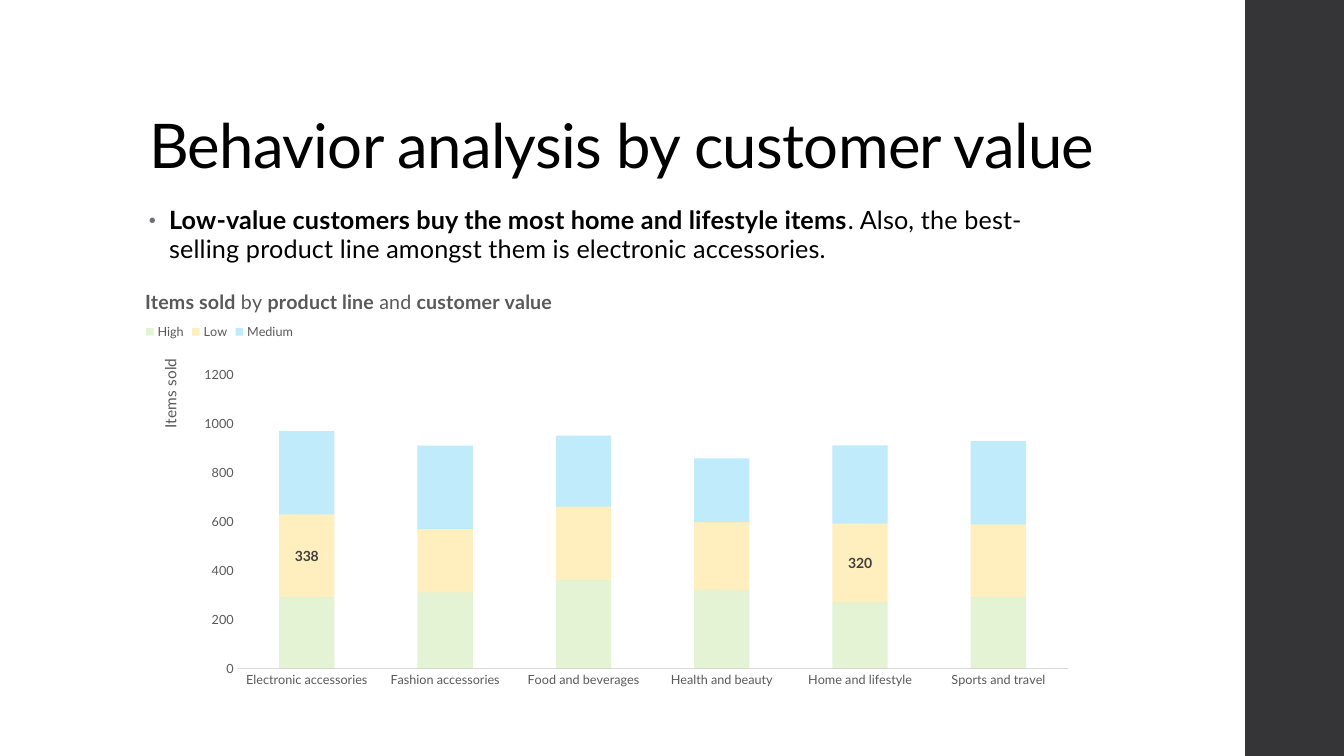
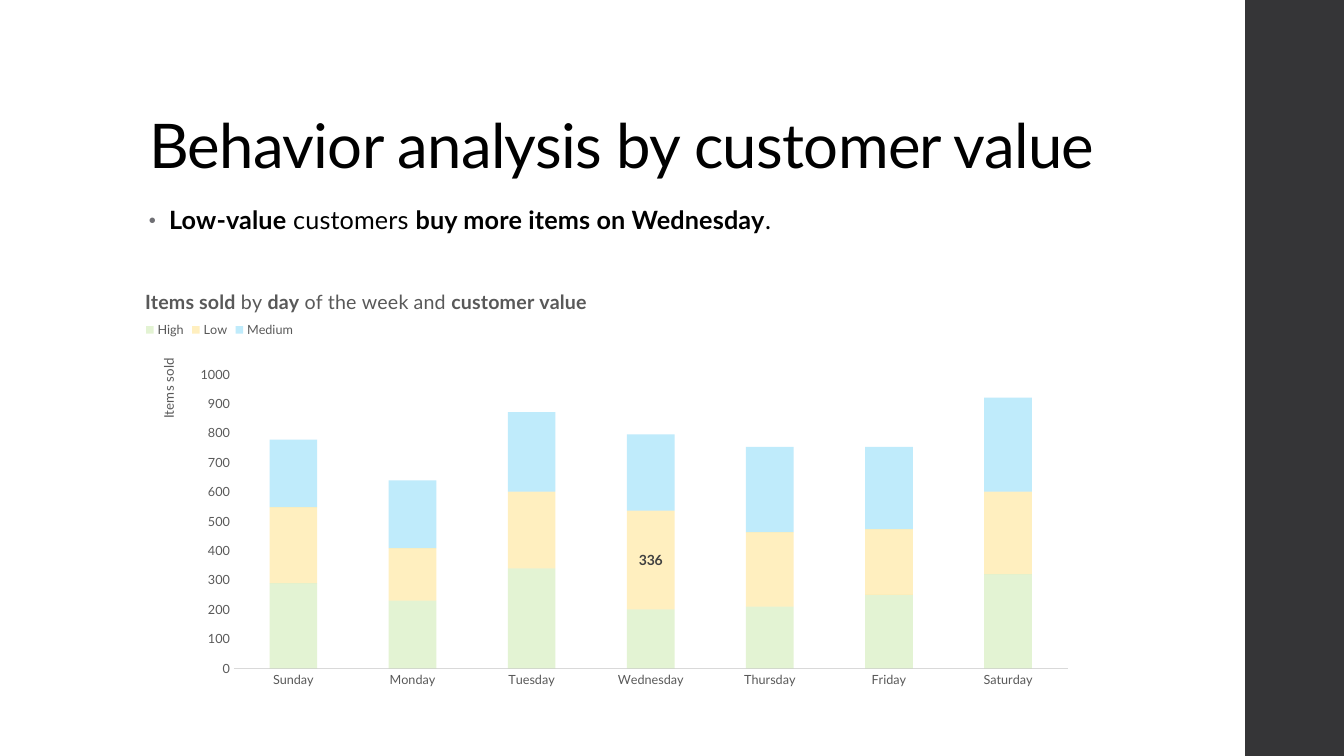
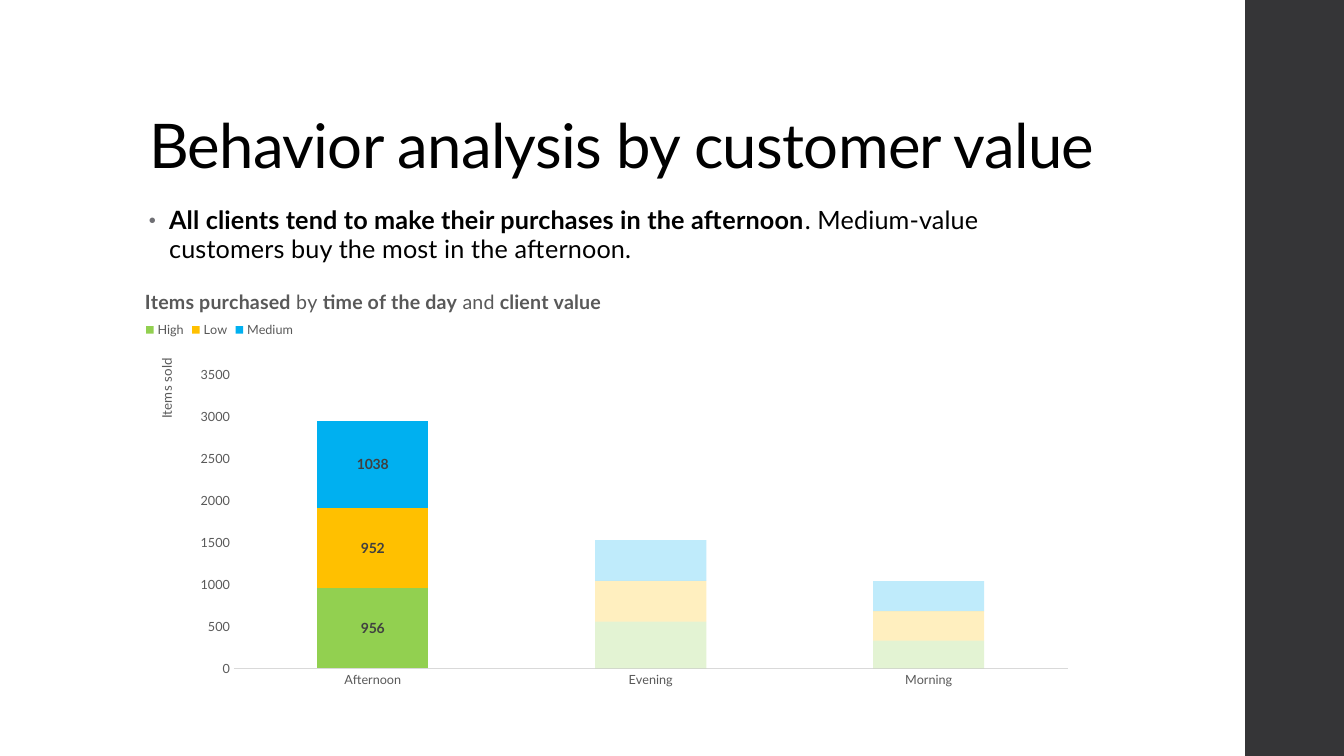
from lxml import etree
from pptx import Presentation, util as u
from pptx.chart.data import CategoryChartData
from pptx.dml.color import RGBColor
from pptx.enum import chart as ch, shapes, text
from pptx.oxml.ns import qn

INK, GREY, LABEL, RULE = "000000", "595959", "404040", "D9D9D9"
BAND, BULLET = "353537", "6F6F74"
LEVELS = {"High": "92D050", "Low": "FFC000", "Medium": "00B0F0"}
HEADING = "Behavior analysis by customer value"


def rgb(value):
    return RGBColor.from_string(value)


def child(parent, tag, **attributes):
    return etree.SubElement(parent, qn(tag), attributes)


def place(parent, **shares):
    for old in parent.findall(qn("c:layout")):
        parent.remove(old)
    layout = etree.Element(qn("c:layout"))
    manual = child(layout, "c:manualLayout")
    if "w" in shares:
        child(manual, "c:layoutTarget", val="inner")
    for mode in ("xMode", "yMode"):
        child(manual, f"c:{mode}", val="edge")
    for key, share in shares.items():
        child(manual, f"c:{key}", val=str(share))
    leads = parent[0].tag in (qn("c:tx"), qn("c:legendPos"))
    parent.insert(1 if leads else 0, layout)


class Deck:
    face = "Lato"
    left = 0.1035

    def __init__(self):
        self.prs = Presentation()
        self.prs.slide_width, self.prs.slide_height = u.Inches(13.33), u.Inches(7.5)
        self.slide = None

    def box(self, x, y, w, h):
        width, height = self.prs.slide_width, self.prs.slide_height
        return int(x * width), int(y * height), int(w * width), int(h * height)

    def font(self, font, size, color, bold=None):
        font.name, font.size, font.bold = self.face, u.Pt(size), bold
        font.color.rgb = rgb(color)

    def rich(self, paragraph, marked):
        for index, part in enumerate(marked.split("*")):
            if part:
                run = paragraph.add_run()
                run.text, run.font.bold = part, index % 2 == 1

    def fill(self, part, color, faded):
        part.format.fill.solid()
        part.format.fill.fore_color.rgb = rgb(color)
        if faded:
            child(part.format.element.xpath("./c:spPr//a:srgbClr")[0], "a:alpha", val="25000")

    def start(self, heading):
        self.slide = self.prs.slides.add_slide(self.prs.slide_layouts[5])
        self.band()
        title = self.slide.shapes.title
        title.left, title.top, title.width, title.height = self.box(self.left, 0.0533, 0.795, 0.1933)
        frame = title.text_frame
        frame.text, frame.word_wrap = heading, True
        frame.auto_size = text.MSO_AUTO_SIZE.NONE
        frame.vertical_anchor = text.MSO_ANCHOR.BOTTOM
        paragraph = frame.paragraphs[0]
        paragraph.alignment, paragraph.line_spacing = text.PP_ALIGN.LEFT, 0.9
        self.font(paragraph.font, 44, INK)
        title.element.xpath(".//a:defRPr")[0].set("spc", "-50")

    def band(self):
        band = self.slide.shapes.add_shape(
            shapes.MSO_SHAPE.RECTANGLE, *self.box(0.9265, 0, 0.0735, 1))
        band.shadow.inherit = False
        band.fill.solid()
        band.fill.fore_color.rgb = rgb(BAND)
        band.line.fill.background()

    def bullet(self, marked):
        finding = self.slide.shapes.add_textbox(*self.box(self.left, 0.2667, 0.705, 0.1))
        finding.text_frame.word_wrap = True
        paragraph = finding.text_frame.paragraphs[0]
        paragraph.line_spacing, paragraph.space_after = 0.95, u.Pt(2)
        props = finding.element.xpath(".//a:pPr")[0]
        props.set("marL", str(u.Inches(0.2)))
        props.set("indent", str(-u.Inches(0.2)))
        child(child(props, "a:buClr"), "a:srgbClr", val=BULLET)
        child(props, "a:buSzPct", val="80000")
        child(props, "a:buFont", typeface="Arial")
        child(props, "a:buChar", char="•")
        self.font(paragraph.font, 18, INK)
        finding.element.xpath(".//a:defRPr")[0].set("spc", "10")
        self.rich(paragraph, marked)

    def chart(self, heading, categories, values, labelled, top, step,
              strong=None, axis_size=9.5, plot_x=0.1, legend_y=0.095, axis_x=0.018):
        data = CategoryChartData()
        data.categories = categories
        for level, numbers in zip(LEVELS, values):
            data.add_series(level, numbers)
        chart = self.slide.shapes.add_chart(
            ch.XL_CHART_TYPE.COLUMN_STACKED,
            *self.box(self.left, 0.368, 0.705, 0.5533), data).chart
        self.font(chart.font, 10, INK)
        self.chart_title(chart, heading)
        self.legend(chart, legend_y)
        self.axes(chart, top, step, axis_size, axis_x)
        self.columns(chart, labelled, strong)
        place(chart.element.xpath("c:chart/c:plotArea")[0],
              x=plot_x, y=0.23, w=round(0.98 - plot_x, 3), h=0.703)

    def chart_title(self, chart, heading):
        paragraph = chart.chart_title.text_frame.paragraphs[0]
        self.font(paragraph.font, 14, GREY)
        self.rich(paragraph, heading)
        place(chart.element.xpath("c:chart/c:title")[0], x=0.003, y=0.015)

    def legend(self, chart, y):
        chart.has_legend = True
        chart.legend.position = ch.XL_LEGEND_POSITION.TOP
        chart.legend.include_in_layout = False
        self.font(chart.legend.font, 9, GREY)
        place(chart.element.xpath("c:chart/c:legend")[0], x=0.003, y=y)

    def axes(self, chart, top, step, size, x):
        category, value = chart.category_axis, chart.value_axis
        for axis in (category, value):
            axis.major_tick_mark = axis.minor_tick_mark = ch.XL_TICK_MARK.NONE
            self.font(axis.tick_labels.font, 9, GREY)
        category.format.line.color.rgb = rgb(RULE)
        category.format.line.width = u.Pt(0.75)
        value.format.line.fill.background()
        value.has_major_gridlines = False
        value.minimum_scale, value.maximum_scale, value.major_unit = 0, top, step
        frame = value.axis_title.text_frame
        frame.text = "Items sold"
        self.font(frame.paragraphs[0].font, size, GREY, False)
        title = chart.element.xpath(".//c:valAx/c:title")[0]
        body = title.xpath(".//a:bodyPr")[0]
        body.set("rot", "-5400000")
        body.set("vert", "horz")
        place(title, x=x, y=0.185)

    def columns(self, chart, labelled, strong):
        plot = chart.plots[0]
        plot.gap_width, plot.overlap, plot.vary_by_categories = 150, 100, False
        for series in plot.series:
            color = LEVELS[series.name]
            series.invert_if_negative = False
            self.fill(series, color, strong is None)
            if strong is not None:
                for index in range(len(series.values)):
                    if index != strong:
                        self.fill(series.points[index], color, True)
            for index in labelled.get(series.name, ()):
                label = series.points[index].data_label
                self.font(label.font, 10, LABEL, True)
                label.position = ch.XL_LABEL_POSITION.CENTER


def main():
    deck = Deck()

    deck.start(HEADING)
    deck.bullet("*Low-value customers buy the most home and lifestyle items*. "
                "Also, the best-selling product line amongst them is electronic accessories.")
    deck.chart("*Items sold* by *product line* and *customer value*",
               ["Electronic accessories", "Fashion accessories", "Food and beverages",
                "Health and beauty", "Home and lifestyle", "Sports and travel"],
               [[290, 310, 360, 320, 270, 290],
                [338, 259, 300, 277, 320, 297],
                [340, 340, 290, 260, 320, 340]],
               {"Low": [0, 4]}, 1200, 200,
               axis_size=11, plot_x=0.104, legend_y=0.1)

    deck.start(HEADING)
    deck.bullet("*Low-value* customers *buy more items on Wednesday*.")
    deck.chart("*Items sold* by *day* of the week and *customer value*",
               ["Sunday", "Monday", "Tuesday", "Wednesday", "Thursday", "Friday", "Saturday"],
               [[290, 230, 340, 200, 210, 250, 320],
                [258, 179, 261, 336, 253, 223, 281],
                [230, 230, 270, 260, 290, 280, 320]],
               {"Low": [3]}, 1000, 100)

    deck.start(HEADING)
    deck.bullet("*All clients tend to make their purchases in the afternoon*. "
                "Medium-value customers buy the most in the afternoon.")
    deck.chart("*Items purchased* by *time of the day* and *client value*",
               ["Afternoon", "Evening", "Morning"],
               [[956, 554, 328], [952, 487, 352], [1038, 485, 358]],
               {level: [0] for level in LEVELS}, 3500, 500, strong=0, axis_x=0.016)

    deck.prs.save("out.pptx")


if __name__ == "__main__":
    main()
